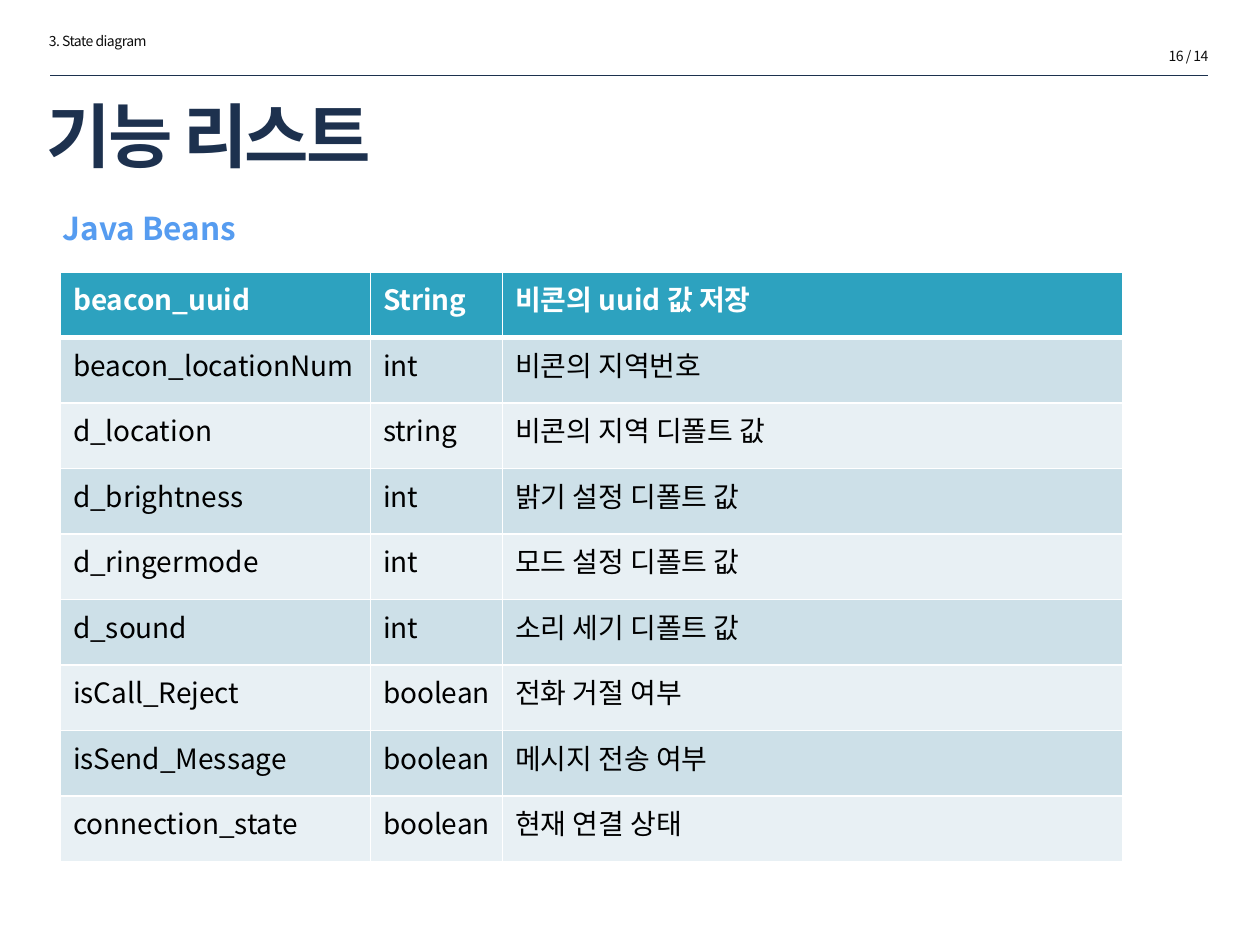
import dataclasses
import typing

import pptx
import pptx.dml.color
import pptx.enum.shapes
import pptx.enum.text
import pptx.oxml.ns
import pptx.util
from lxml import etree
from pptx.util import Inches

ALIGN = pptx.enum.text.PP_ALIGN
ANCHOR = pptx.enum.text.MSO_ANCHOR


@dataclasses.dataclass(frozen=True)
class Theme:
    font: str = "Noto Sans CJK KR"
    small: int = 8
    body: int = 16
    subtitle: int = 18
    title: int = 40
    ink: str = "0D0D0D"
    navy: str = "1D314E"
    rule: str = "1C314E"
    sky: str = "569CF0"
    white: str = "FFFFFF"
    black: str = "000000"
    header: str = "2DA2BF"
    bands: tuple[str, str] = ("CDE0E8", "E8F0F4")


class Field(typing.NamedTuple):
    name: str
    type_name: str
    meaning: str


@dataclasses.dataclass(frozen=True)
class Label:
    text: str
    box: tuple[float, float, float, float]
    size: int
    color: str
    bold: bool = False
    spacing: float = 0
    align: typing.Any = ALIGN.LEFT
    anchor: typing.Any = ANCHOR.TOP


THEME = Theme()
COLUMN_WIDTHS = (2.46, 1.05, 4.92)
ROW_HEIGHT = 0.52

LABELS = (
    Label("3. State diagram", (0.29, 0.21, 1.73, 0.24), THEME.small, THEME.ink, spacing=-0.3),
    Label("16 / 14", (7.96, 0.33, 1.73, 0.24), THEME.small, THEME.ink, spacing=-0.3,
          align=ALIGN.RIGHT),
    Label("기능 리스트", (0.27, 0.6, 9.28, 0.94), THEME.title, THEME.navy, bold=True,
          spacing=-1.5, anchor=ANCHOR.MIDDLE),
    Label("Java Beans", (0.4, 1.61, 8.63, 0.4), THEME.subtitle, THEME.sky, bold=True),
)

# The first field takes the header row
FIELDS = (
    Field("beacon_uuid", "String", "비콘의 uuid 값 저장"),
    Field("beacon_locationNum", "int", "비콘의 지역번호"),
    Field("d_location", "string", "비콘의 지역 디폴트 값"),
    Field("d_brightness", "int", "밝기 설정 디폴트 값"),
    Field("d_ringermode", "int", "모드 설정 디폴트 값"),
    Field("d_sound", "int", "소리 세기 디폴트 값"),
    Field("isCall_Reject", "boolean", "전화 거절 여부"),
    Field("isSend_Message", "boolean", "메시지 전송 여부"),
    Field("connection_state", "boolean", "현재 연결 상태"),
)


def rgb(color: str) -> pptx.dml.color.RGBColor:
    return pptx.dml.color.RGBColor.from_string(color)


def add_element(parent, tag: str, **attributes: str):
    return etree.SubElement(parent, pptx.oxml.ns.qn(tag), attributes)


def write_text(text_frame, text: str, *, size: int, color: str, bold: bool = False,
               spacing: float = 0, align=ALIGN.LEFT) -> None:
    paragraph = text_frame.paragraphs[0]
    paragraph.alignment = align
    run = paragraph.add_run()
    run.text = text
    run.font.name = THEME.font
    run.font.size = pptx.util.Pt(size)
    run.font.bold = bold
    run.font.color.rgb = rgb(color)
    properties = run.font._element
    add_element(properties, "a:ea", typeface=THEME.font)
    if spacing:
        properties.set("spc", str(round(spacing * 100)))


def add_label(slide, label: Label) -> None:
    shape = slide.shapes.add_textbox(*map(Inches, label.box))
    shape.text_frame.word_wrap = True
    shape.text_frame.vertical_anchor = label.anchor
    write_text(shape.text_frame, label.text, size=label.size, color=label.color,
               bold=label.bold, spacing=label.spacing, align=label.align)


def add_rule(slide) -> None:
    line = slide.shapes.add_connector(
        pptx.enum.shapes.MSO_CONNECTOR.STRAIGHT,
        Inches(0.4), Inches(0.6), Inches(9.59), Inches(0.6))
    line.line.color.rgb = rgb(THEME.rule)
    line.line.width = pptx.util.Pt(0.25)
    add_element(line._element.spPr, "a:effectLst")


def set_borders(cell, *, top: float, bottom: float) -> None:
    properties = cell._tc.get_or_add_tcPr()
    for side, width in (("L", 1), ("R", 1), ("T", top), ("B", bottom)):
        border = add_element(properties, f"a:ln{side}", w=str(pptx.util.Pt(width)))
        fill = add_element(border, "a:solidFill")
        add_element(fill, "a:srgbClr", val=THEME.white)


def add_field_table(slide, fields: tuple[Field, ...]) -> None:
    table = slide.shapes.add_table(
        len(fields), len(COLUMN_WIDTHS), Inches(0.48), Inches(2.16),
        Inches(sum(COLUMN_WIDTHS)), Inches(ROW_HEIGHT * len(fields))).table
    for column, width in zip(table.columns, COLUMN_WIDTHS):
        column.width = Inches(width)
    for index, field in enumerate(fields):
        is_header = index == 0
        table.rows[index].height = Inches(ROW_HEIGHT)
        background = THEME.header if is_header else THEME.bands[(index - 1) % 2]
        for cell, text in zip(table.rows[index].cells, field):
            set_borders(cell, top=3 if index == 1 else 1, bottom=3 if is_header else 1)
            cell.fill.solid()
            cell.fill.fore_color.rgb = rgb(background)
            write_text(cell.text_frame, text, size=THEME.body, bold=is_header,
                       color=THEME.white if is_header else THEME.black)


def main() -> None:
    presentation = pptx.Presentation()
    presentation.slide_width = Inches(10)
    presentation.slide_height = Inches(7.5)
    slide = presentation.slides.add_slide(presentation.slide_layouts[6])

    # Page header, title and subtitle
    add_rule(slide)
    for label in LABELS:
        add_label(slide, label)

    # Bean fields
    add_field_table(slide, FIELDS)
    presentation.save("out.pptx")


if __name__ == "__main__":
    main()
